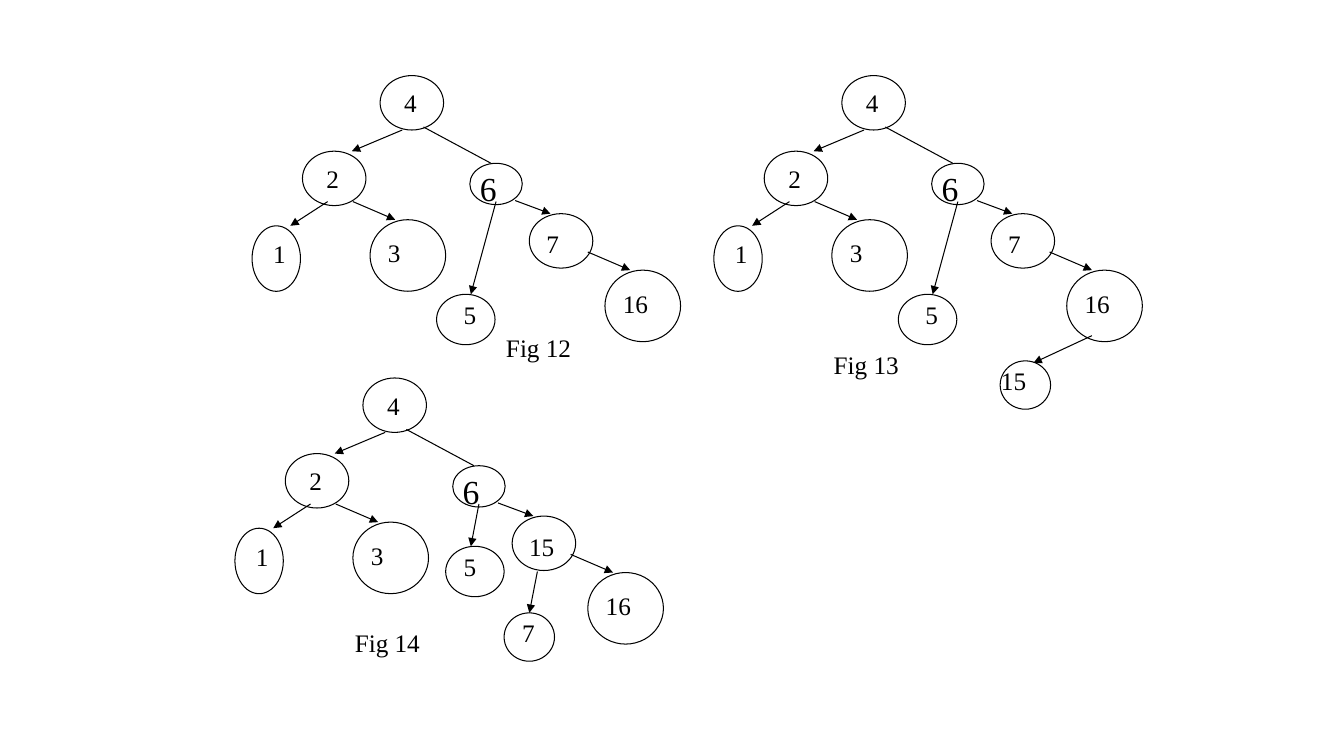
from collections import namedtuple

from pptx import Presentation
from pptx.dml.color import RGBColor
from pptx.enum.shapes import MSO_CONNECTOR as Connector, MSO_SHAPE as Shape
from pptx.oxml.ns import qn
from pptx.util import Pt
from lxml.etree import SubElement

PX = 9144  # 100 px to the inch
BLACK = RGBColor(0, 0, 0)
FONT = "Times New Roman"

# Circle and label boxes are (left, top, width, height) and (left, top, width)
# from the tree's corner.
Node = namedtuple("Node", "value circle label size", defaults=[18])
Link = namedtuple("Link", "start end arrow", defaults=[True])

COMMON_NODES = [
    Node("4", (127, 0, 63, 54), (141, 7, 112)),
    Node("2", (50, 75, 63, 54), (64, 82, 70)),
    Node("6", (216, 87, 52, 41), (216, 87, 52), 24),
    Node("1", (0, 149, 48, 65), (11, 157, 54)),
    Node("3", (117, 143, 75, 71), (125, 156, 100)),
    Node("16", (350, 193, 75, 71), (358, 206, 100)),
]
COMMON_LINKS = [
    Link((149, 54), (99, 75)),
    Link((170, 51), (237, 87), arrow=False),
    Link((261, 124), (296, 137)),
    Link((75, 125), (38, 149)),
    Link((100, 125), (142, 143)),
    Link((333, 175), (375, 193)),
]


def right_child(value):
    return Node(value, (275, 137, 63, 54), (282, 147, 84))


FIVE_LOW = Node("5", (183, 217, 58, 50), (200, 217, 83))
LINK_TO_FIVE_LOW = Link((242, 125), (217, 217))


def px(*lengths):
    return [length * PX for length in lengths]


def add_text(shapes, text, left, top, width, height=40, size=18):
    box = shapes.add_textbox(*px(left, top, width, height))
    box.text_frame.word_wrap = True
    paragraph = box.text_frame.paragraphs[0]
    paragraph.text = text
    font = paragraph.runs[0].font
    font.name, font.size, font.color.rgb = FONT, Pt(size), BLACK


def add_node(shapes, x, y, node):
    left, top, width, height = node.circle
    circle = shapes.add_shape(Shape.OVAL, *px(x + left, y + top, width, height))
    circle.shadow.inherit = False
    circle.fill.background()
    circle.line.color.rgb = BLACK
    circle.line.width = Pt(0.75)
    left, top, width = node.label
    add_text(shapes, node.value, x + left, y + top, width,
             height=50 if node.size > 18 else 40, size=node.size)


def add_link(shapes, x, y, link):
    (x1, y1), (x2, y2) = link.start, link.end
    edge = shapes.add_connector(
        Connector.STRAIGHT, *px(x + x1, y + y1, x + x2, y + y2))
    edge.line.color.rgb = BLACK
    edge.line.width = Pt(0.75)
    if link.arrow:
        SubElement(edge.line._get_or_add_ln(), qn("a:tailEnd"), type="triangle")
    SubElement(edge._element.spPr, qn("a:effectLst"))


def add_tree(slide, x, y, caption, caption_at, nodes, links):
    """Draw the shared nodes and links plus the given ones, as one group."""
    shapes = slide.shapes.add_group_shape().shapes
    for link in COMMON_LINKS + links:
        add_link(shapes, x, y, link)
    for node in COMMON_NODES + nodes:
        add_node(shapes, x, y, node)
    left, top = caption_at
    add_text(shapes, caption, x + left, y + top, 125)


def main():
    deck = Presentation()
    deck.slide_width, deck.slide_height = px(1333, 750)
    slide = deck.slides.add_slide(deck.slide_layouts[6])
    add_tree(slide, 250, 75, "Fig 12", (242, 250),
             [right_child("7"), FIVE_LOW], [LINK_TO_FIVE_LOW])
    add_tree(slide, 708, 75, "Fig 13", (109, 267),
             [right_child("7"), FIVE_LOW,
              Node("15", (284, 283, 50, 48), (275, 283, 83))],
             [LINK_TO_FIVE_LOW, Link((375, 258), (317, 285))])
    add_tree(slide, 233, 375, "Fig 14", (109, 242),
             [right_child("15"),
              Node("5", (209, 167, 58, 50), (217, 167, 83)),
              Node("7", (267, 233, 50, 48), (275, 233, 83))],
             [Link((242, 125), (234, 167)), Link((300, 192), (292, 233))])
    deck.save("out.pptx")


if __name__ == "__main__":
    main()
